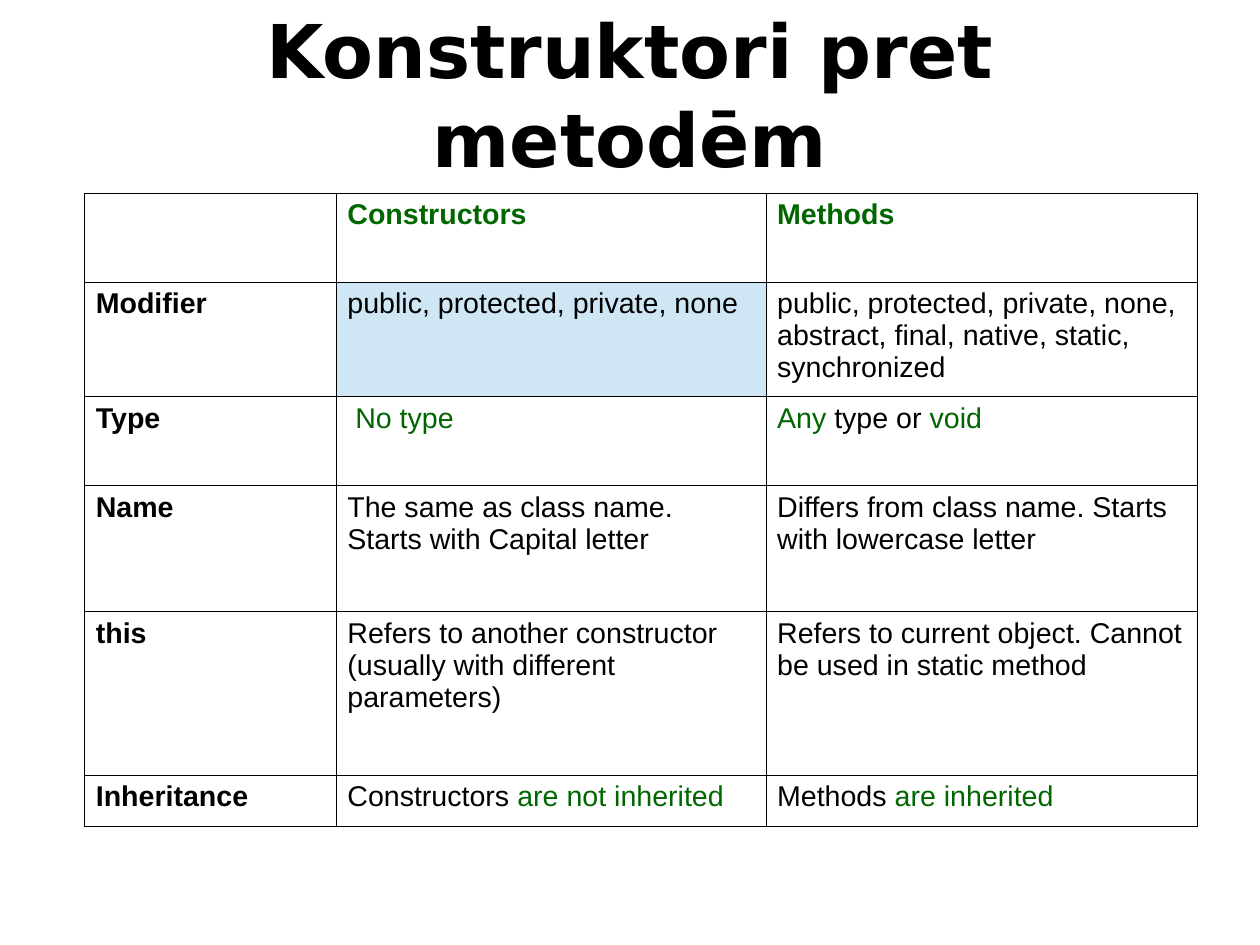
from lxml import etree
from pptx import Presentation
from pptx.dml.color import RGBColor
from pptx.enum.text import MSO_ANCHOR, PP_ALIGN
from pptx.oxml.ns import qn
from pptx.util import Cm, Pt

MIDDLE = MSO_ANCHOR.MIDDLE
TOP = MSO_ANCHOR.TOP
CENTER = PP_ALIGN.CENTER

COLORS = {"text": "000000", "accent": "006600", "border": "000000",
          "highlight": "CFE7F5", "background": "FFFFFF"}

COLUMN_WIDTHS = [5.59, 9.55, 9.58]
ROW_HEIGHTS = [1.98, 2.54, 1.98, 2.8, 3.63, 1.14]
HIGHLIGHTED_CELL = (1, 1)

# Text between asterisks takes the accent colour; a line break starts a paragraph
ROWS = [
    ["", "*Constructors*", "*Methods*"],
    ["Modifier", "public, protected, private, none",
     "public, protected, private, none,\nabstract, final, native, static, synchronized"],
    ["Type", "* No type*", "*Any* type or *void*"],
    ["Name", "The same as class name. Starts with Capital letter",
     "Differs from class name. Starts with lowercase letter"],
    ["this", "Refers to another constructor (usually with different parameters)",
     "Refers to current object. Cannot be used in static method"],
    ["Inheritance", "Constructors *are not inherited*", "Methods *are inherited*"],
]


def color(name):
    return RGBColor.from_string(COLORS[name])


def format_font(font, name, size, bold, color_name):
    font.name = name
    font.size = Pt(size)
    font.bold = bold
    font.color.rgb = color(color_name)


def add_title(slide, text):
    shape = slide.shapes.add_textbox(Cm(1.4), Cm(0.15), Cm(25.2), Cm(3.84))
    frame = shape.text_frame
    frame.word_wrap = True
    frame.vertical_anchor = MIDDLE
    frame.margin_left = frame.margin_right = Cm(0)
    frame.margin_top = frame.margin_bottom = Cm(0)
    frame.text = text
    paragraph = frame.paragraphs[0]
    paragraph.alignment = CENTER
    format_font(paragraph.runs[0].font, "DejaVu Sans", 46.7, True, "text")


def set_borders(cell, width):
    properties = cell._tc.get_or_add_tcPr()
    for side in ("a:lnL", "a:lnR", "a:lnT", "a:lnB"):
        line = etree.SubElement(properties, qn(side), w=str(Pt(width)))
        fill = etree.SubElement(line, qn("a:solidFill"))
        etree.SubElement(fill, qn("a:srgbClr"), val=COLORS["border"])


def fill_cell(cell, text, bold, fill_name):
    cell.vertical_anchor = TOP
    cell.margin_left = cell.margin_right = Cm(0.25)
    cell.margin_top = cell.margin_bottom = Cm(0.13)
    set_borders(cell, 0.57)
    cell.fill.solid()
    cell.fill.fore_color.rgb = color(fill_name)

    frame = cell.text_frame
    frame.text = text.replace("*", "")
    for paragraph, line in zip(frame.paragraphs, text.split("\n")):
        paragraph.text = ""
        for index, part in enumerate(line.split("*")):
            if part:
                run = paragraph.add_run()
                run.text = part
                format_font(run.font, "Arial", 18, bold, "accent" if index % 2 else "text")


def add_comparison_table(slide):
    shape = slide.shapes.add_table(len(ROWS), len(COLUMN_WIDTHS), Cm(1.88), Cm(4.29),
                                   Cm(sum(COLUMN_WIDTHS)), Cm(sum(ROW_HEIGHTS)))
    table = shape.table
    table.first_row = False
    table.horz_banding = False
    for column, width in zip(table.columns, COLUMN_WIDTHS):
        column.width = Cm(width)
    for row, height in zip(table.rows, ROW_HEIGHTS):
        row.height = Cm(height)
    for i, texts in enumerate(ROWS):
        for j, text in enumerate(texts):
            fill_name = "highlight" if (i, j) == HIGHLIGHTED_CELL else "background"
            fill_cell(table.cell(i, j), text, i == 0 or j == 0, fill_name)


def main():
    presentation = Presentation()
    presentation.slide_width = Cm(28)
    presentation.slide_height = Cm(21)
    slide = presentation.slides.add_slide(presentation.slide_layouts[6])

    # Heading
    add_title(slide, "Konstruktori pret metodēm")

    # Constructors compared with methods
    add_comparison_table(slide)

    presentation.save("out.pptx")


if __name__ == "__main__":
    main()
